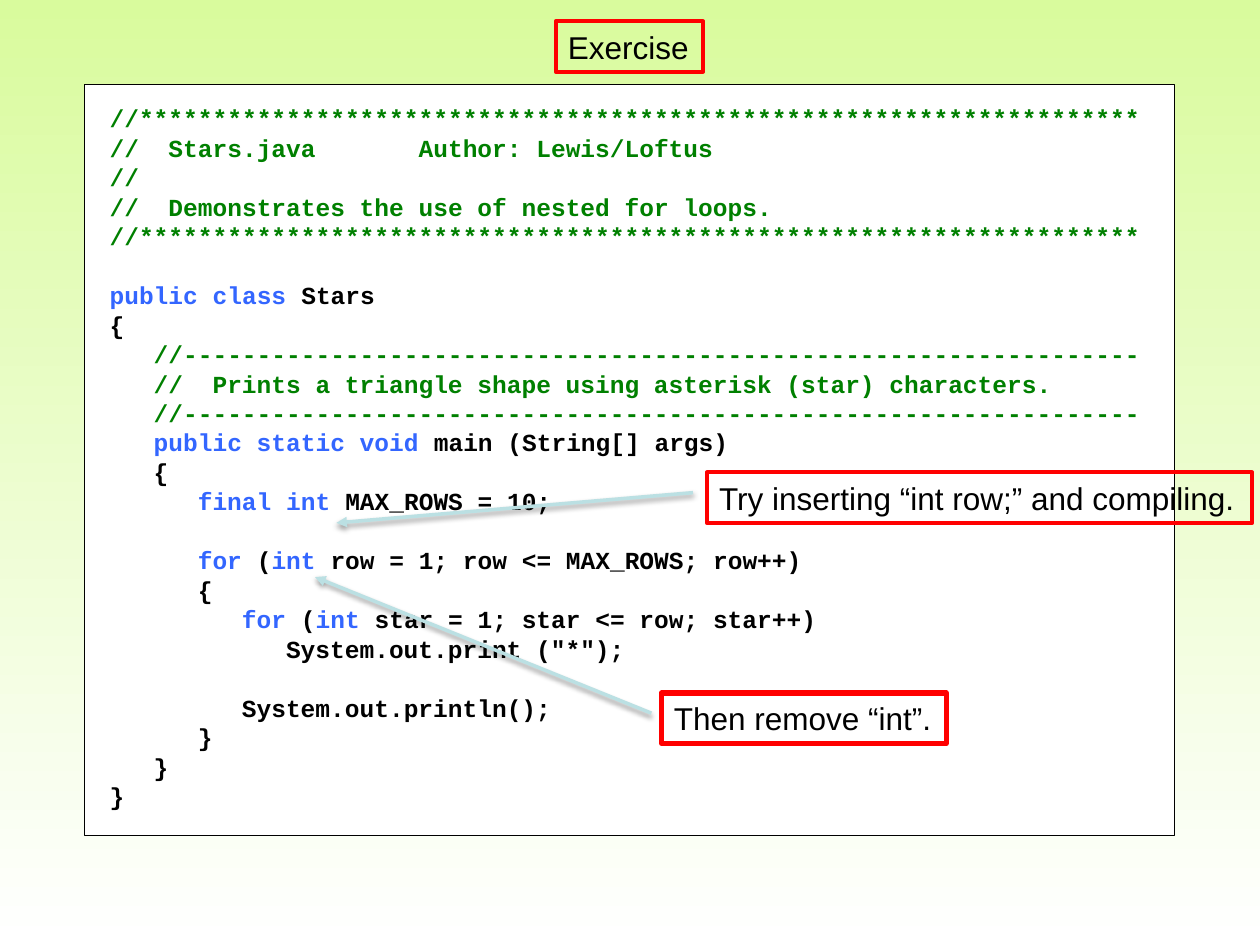
from lxml.etree import SubElement
from pptx import Presentation
from pptx.dml.color import RGBColor
from pptx.enum.shapes import MSO_CONNECTOR, MSO_SHAPE
from pptx.enum.text import MSO_ANCHOR, PP_ALIGN
from pptx.oxml.ns import qn
from pptx.util import Inches, Pt

COLORS = {
    "top": "D9FB9D", "white": "FFFFFF", "black": "000000", "red": "FF0000",
    "comment": "008000", "keyword": "3366FF", "arrow": "BBE0E3",
}
CODE_SIZE = 14
CODE_LINE = 16.85  # line height in points
CHAR_WIDTH = 0.6 * CODE_SIZE  # advance of the monospaced font

STARS = "//" + "*" * 68
DASHES = "//" + "-" * 65
# Keywords stand between backticks
CODE = f"""{STARS}
//  Stars.java       Author: Lewis/Loftus
//
//  Demonstrates the use of nested for loops.
{STARS}

`public class `Stars
{{
   {DASHES}
   //  Prints a triangle shape using asterisk (star) characters.
   {DASHES}
   `public static void `main (String[] args)
   {{
      `final int `MAX_ROWS = 10;

      `for `(`int `row = 1; row <= MAX_ROWS; row++)
      {{
         `for `(`int `star = 1; star <= row; star++)
            System.out.print ("*");

         System.out.println();
      }}
   }}
}}"""


def rgb(name):
    return RGBColor.from_string(COLORS[name])


class SlideBuilder:
    def __init__(self, page):
        self.page = page

    def background(self, top, bottom):
        fill = self.page.background.fill
        fill.gradient()
        fill.gradient_angle = 270
        for stop, color, position in zip(fill.gradient_stops, (top, bottom), (0, 1)):
            stop.color.rgb = rgb(color)
            stop.position = position

    def box(self, left, top, width, height, line, weight, fill=None):
        shape = self.page.shapes.add_shape(
            MSO_SHAPE.RECTANGLE, Inches(left), Inches(top), Inches(width), Inches(height))
        shape.shadow.inherit = False
        if fill:
            shape.fill.solid()
            shape.fill.fore_color.rgb = rgb(fill)
        else:
            shape.fill.background()
        shape.line.color.rgb = rgb(line)
        shape.line.width = Pt(weight)
        shape.text_frame.vertical_anchor = MSO_ANCHOR.TOP
        return shape

    def span(self, para, text, font, size, color, bold=False):
        run = para.add_run()
        run.text = text
        run.font.name = font
        run.font.size = Pt(size)
        run.font.bold = bold
        run.font.color.rgb = rgb(color)

    def label(self, text, left, top, width, weight=2.25):
        frame = self.box(left, top, width, 0.4, "red", weight).text_frame
        frame.word_wrap = False
        para = frame.paragraphs[0]
        para.alignment = PP_ALIGN.LEFT
        self.span(para, text, "Arial", 18, "black")

    def code(self, source, left, top, width, height):
        frame = self.box(left, top, width, height, "black", 0.75, "white").text_frame
        frame.word_wrap = True
        frame.margin_left = frame.margin_right = Inches(0.2)
        frame.margin_top = frame.margin_bottom = Inches(0.15)
        para, gap = frame.paragraphs[0], 0
        for number, line in enumerate(source.split("\n")):
            text = line.lstrip()
            if not text:  # an empty line becomes space before the next one
                gap += CODE_LINE
                continue
            if number:
                para = frame.add_paragraph()
            para.alignment = PP_ALIGN.LEFT
            para.line_spacing = Pt(CODE_LINE)
            para.space_before = Pt(gap)
            indent = Pt(CHAR_WIDTH * (len(line) - len(text)))
            para._p.get_or_add_pPr().set("marL", str(indent))
            gap = 0
            plain = "comment" if text.startswith("//") else "black"
            for index, part in enumerate(text.split("`")):
                if part:
                    color = "keyword" if index % 2 else plain
                    self.span(para, part, "Courier New", CODE_SIZE, color, True)

    def arrow(self, start, end):
        line = self.page.shapes.add_connector(
            MSO_CONNECTOR.STRAIGHT, *(Inches(value) for value in start + end))
        line.line.color.rgb = rgb("arrow")
        line.line.width = Pt(2)
        SubElement(line.line._get_or_add_ln(), qn("a:tailEnd"), type="triangle")
        # Soft shadow straight below
        effects = SubElement(line._element.spPr, qn("a:effectLst"))
        shadow = SubElement(effects, qn("a:outerShdw"), blurRad=str(Pt(3.1)),
                            dist=str(Pt(1.6)), dir="5400000", rotWithShape="0")
        color = SubElement(shadow, qn("a:srgbClr"), val=COLORS["black"])
        SubElement(color, qn("a:alpha"), val="38000")


def main():
    deck = Presentation()
    deck.slide_width, deck.slide_height = Inches(10), Inches(7.5)
    builder = SlideBuilder(deck.slides.add_slide(deck.slide_layouts[6]))
    builder.background("top", "white")

    # Program listing and title
    builder.code(CODE, 0.67, 0.67, 8.65, 5.96)
    builder.label("Exercise", 4.41, 0.17, 1.17)

    # Tasks, each pointing at its place in the code
    builder.label("Try inserting “int row;” and compiling.", 5.61, 3.75, 4.33)
    builder.arrow((5.5, 3.91), (2.67, 4.15))
    builder.label("Then remove “int”.", 5.25, 5.5, 2.26, weight=3)
    builder.arrow((5.17, 5.66), (2.5, 4.58))

    deck.save("out.pptx")


if __name__ == "__main__":
    main()
